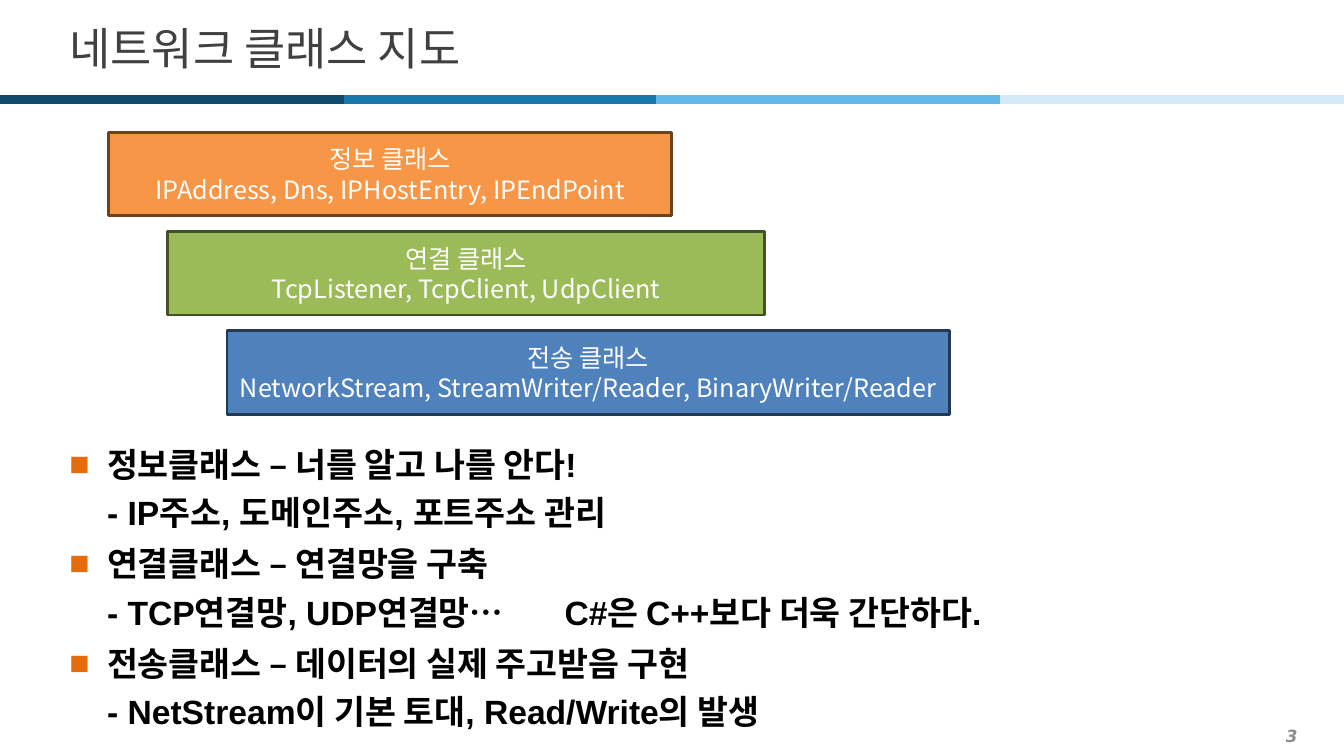
from lxml.etree import SubElement
from pptx import Presentation
from pptx.dml.color import RGBColor
from pptx.enum.shapes import MSO_CONNECTOR, MSO_SHAPE
from pptx.enum.text import MSO_ANCHOR, PP_ALIGN
from pptx.oxml.ns import qn
from pptx.util import Cm, Pt

SANS = "Noto Sans CJK KR"
TITLE = "네트워크 클래스 지도"
PAGE = "3"
BARS = ["0F4A6B", "1877AC", "61B8E9", "D3EBF9"]
BOXES = [
    ("정보 클래스\nIPAddress, Dns, IPHostEntry, IPEndPoint", 14.18, "F79646", "6C421F"),
    ("연결 클래스\nTcpListener, TcpClient, UdpClient", 15.04, "9BBB59", "445227"),
    ("전송 클래스\nNetworkStream, StreamWriter/Reader, BinaryWriter/Reader", 18.21, "4F81BD", "233953"),
]
POINTS = [
    "정보클래스 – 너를 알고 나를 안다! \v- IP주소, 도메인주소, 포트주소 관리",
    "연결클래스 – 연결망을 구축\v- TCP연결망, UDP연결망…\tC#은 C++보다 더욱 간단하다.",
    "전송클래스 – 데이터의 실제 주고받음 구현\v- NetStream이 기본 토대, Read/Write의 발생",
]
WIDE, HIGH = 33.87, 19.05
LEFT, SPAN = 1.5, 31.01
TAB = 12.48


def paint(color, code):
    color.rgb = RGBColor.from_string(code)


def style(frame, size, code, font=SANS, bold=False, italic=False, align=PP_ALIGN.LEFT):
    for para in frame.paragraphs:
        para.alignment = align
        for run in para.runs:
            run.font.name = font
            run.font.size = Pt(size)
            run.font.bold = bold
            run.font.italic = italic
            paint(run.font.color, code)
            SubElement(run.font._element, qn("a:ea"), typeface=SANS)


def write(slide, text, left, top, width, height, anchor=MSO_ANCHOR.MIDDLE):
    box = slide.shapes.add_textbox(Cm(left), Cm(top), Cm(width), Cm(height))
    frame = box.text_frame
    frame.word_wrap = True
    frame.vertical_anchor = anchor
    frame.text = text
    return frame


def bullet(para):
    props = para._p.get_or_add_pPr()
    props.set("marL", str(Cm(0.95)))
    props.set("indent", str(-Cm(0.95)))
    tint = SubElement(props, qn("a:buClr"))
    SubElement(tint, qn("a:srgbClr"), val="E46C0A")
    SubElement(props, qn("a:buFont"), typeface="Arial")
    SubElement(props, qn("a:buChar"), char="■")
    tabs = SubElement(props, qn("a:tabLst"))
    SubElement(tabs, qn("a:tab"), pos=str(Cm(TAB)), algn="l")
    para.line_spacing = 1.2
    para.space_after = Pt(2)


def rule(slide):
    first = 8.66
    step = (WIDE - first) / 3
    ends = [0] + [first + step * i for i in range(4)]
    ends[1:3] = [8.66, 16.54]
    ends[3] = 25.2
    for i, code in enumerate(BARS):
        line = slide.shapes.add_connector(
            MSO_CONNECTOR.STRAIGHT, Cm(ends[i]), Cm(2.51), Cm(ends[i + 1]), Cm(2.51))
        line.line.width = Pt(6)
        paint(line.line.color, code)
        SubElement(line._element.spPr, qn("a:effectLst"))


def steps(slide):
    for i, (text, width, fill, edge) in enumerate(BOXES):
        box = slide.shapes.add_shape(
            MSO_SHAPE.RECTANGLE, Cm(2.74 + 1.49 * i), Cm(3.33 + 2.5 * i), Cm(width), Cm(2.11))
        box.shadow.inherit = False
        box.fill.solid()
        paint(box.fill.fore_color, fill)
        box.line.width = Pt(2)
        paint(box.line.color, edge)
        frame = box.text_frame
        frame.word_wrap = True
        frame.vertical_anchor = MSO_ANCHOR.MIDDLE
        frame.text = text
        style(frame, 18, "FFFFFF", align=PP_ALIGN.CENTER)


def main():
    deck = Presentation()
    deck.slide_width, deck.slide_height = Cm(WIDE), Cm(HIGH)
    slide = deck.slides.add_slide(deck.slide_layouts[6])
    page = write(slide, PAGE, 0.51, 18.14, 32.44, 0.79)
    style(page, 12, "8C8C8C", "DejaVu Sans", True, True, PP_ALIGN.RIGHT)
    rule(slide)
    style(write(slide, TITLE, LEFT, 0.33, SPAN, 1.73), 32, "404040")
    body = write(slide, "\n".join(POINTS), LEFT, 10.85, SPAN, 8.64, MSO_ANCHOR.TOP)
    for para in body.paragraphs:
        bullet(para)
    style(body, 24, "000000", "Arial", True)
    steps(slide)
    deck.save("out.pptx")


if __name__ == "__main__":
    main()
